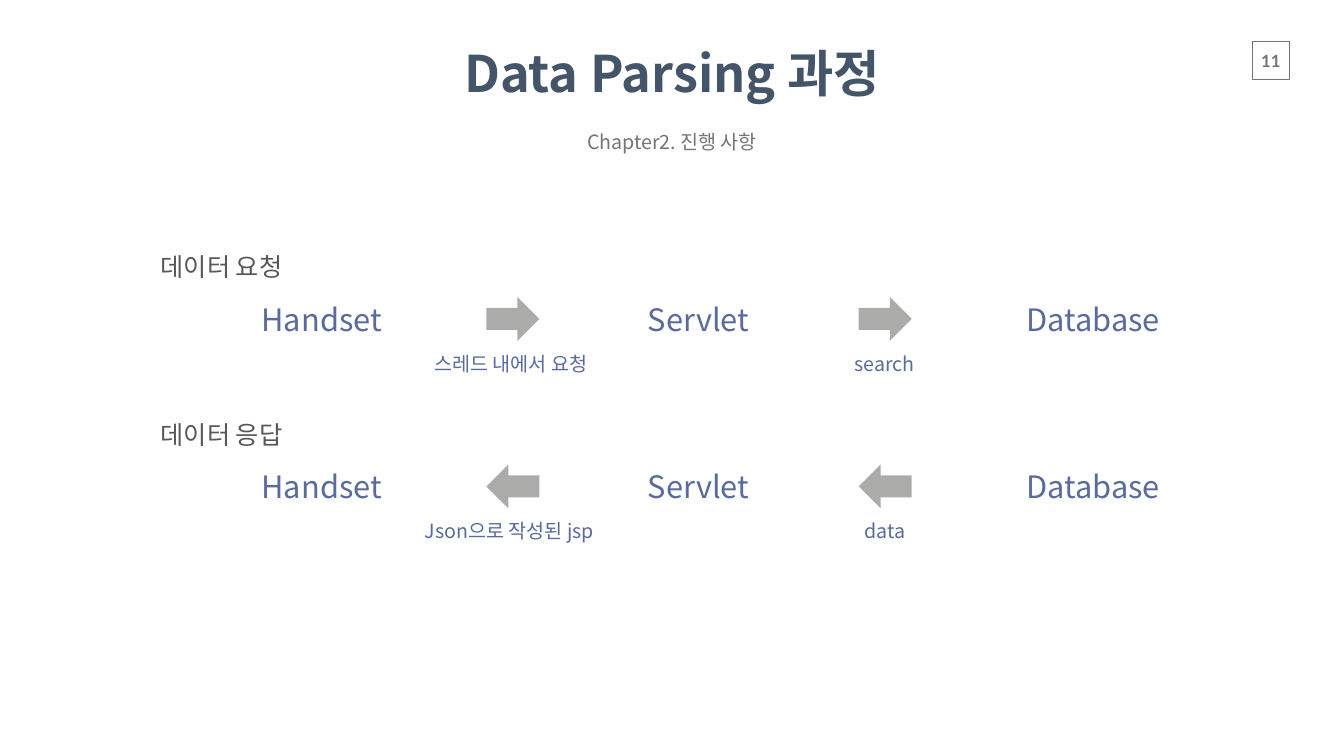
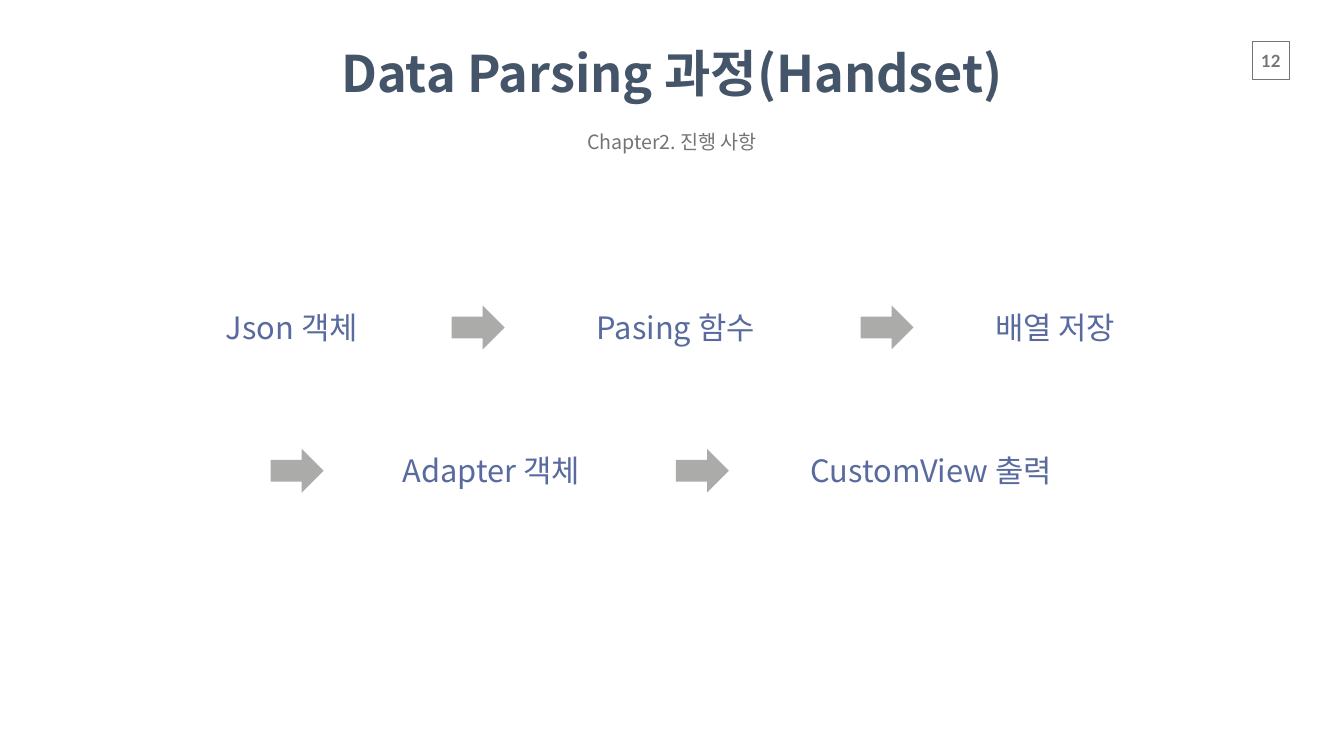
from dataclasses import dataclass

import pptx
import pptx.dml.color
import pptx.enum.shapes
import pptx.enum.text
import pptx.oxml.ns
import pptx.util
from lxml import etree

Cm = pptx.util.Cm
ALIGN = pptx.enum.text.PP_ALIGN
ANCHOR = pptx.enum.text.MSO_ANCHOR
SHAPE = pptx.enum.shapes.MSO_SHAPE


@dataclass(frozen=True)
class Theme:
    # Colours
    title: str = "445469"
    muted: str = "737572"
    heading: str = "565856"
    accent: str = "596A9F"
    arrow: str = "ABACAA"
    # Fonts and type sizes in points
    body_font: str = "Noto Sans CJK KR"
    number_font: str = "Lato"
    title_size: int = 72
    step_size: int = 44
    heading_size: int = 36
    small_size: int = 28
    number_size: int = 24


THEME = Theme()
SLIDE_WIDTH, SLIDE_HEIGHT = 67.72, 38.1
STEP_HEIGHT = 2.13
ARROW_WIDTH, ARROW_HEIGHT = 2.67, 2.21
CHAPTER = "Chapter2. 진행 사항"


def rgb(colour):
    return pptx.dml.color.RGBColor.from_string(colour)


def add_text(shapes, box, text, size, colour, font=THEME.body_font, bold=False,
             align=ALIGN.LEFT, anchor=ANCHOR.TOP, inset=(0.25, 0.13), wrap=False):
    """Add one line of text; box is left, top, width, height in cm."""
    frame = shapes.add_textbox(*(Cm(length) for length in box)).text_frame
    frame.word_wrap = wrap
    frame.auto_size = pptx.enum.text.MSO_AUTO_SIZE.SHAPE_TO_FIT_TEXT
    frame.vertical_anchor = anchor
    frame.margin_left = frame.margin_right = Cm(inset[0])
    frame.margin_top = frame.margin_bottom = Cm(inset[1])
    paragraph = frame.paragraphs[0]
    paragraph.alignment = align
    run = paragraph.add_run()
    run.text = text
    run.font.name = font
    run.font.size = pptx.util.Pt(size)
    run.font.bold = bold
    run.font.color.rgb = rgb(colour)
    # Korean glyphs take the same typeface
    east_asian = etree.SubElement(run.font._element, pptx.oxml.ns.qn("a:ea"))
    east_asian.set("typeface", font)


def add_arrow(shapes, left, top, direction):
    arrow = shapes.add_shape(direction, Cm(left), Cm(top),
                             Cm(ARROW_WIDTH), Cm(ARROW_HEIGHT))
    arrow.shadow.inherit = False
    arrow.fill.solid()
    arrow.fill.fore_color.rgb = rgb(THEME.arrow)
    arrow.line.fill.background()


def add_page_number(shapes, left, top, side, number):
    # Outlined square
    square = shapes.add_shape(SHAPE.RECTANGLE, Cm(left), Cm(top), Cm(side), Cm(side))
    square.shadow.inherit = False
    square.fill.background()
    square.line.color.rgb = rgb(THEME.muted)
    square.line.width = pptx.util.Pt(1)
    # Number centred on the square
    width = 4.83
    add_text(shapes, (left + (side - width) / 2, top + 0.21, width, 1.52),
             str(number), THEME.number_size, THEME.muted, THEME.number_font,
             bold=True, align=ALIGN.CENTER, inset=(0.51, 0.25))


def add_header(shapes, title, title_width):
    lines = [
        (title, title_width, 1.78, 3.73, THEME.title_size, THEME.title, True),
        (CHAPTER, 10.49, 6.22, 1.85, THEME.small_size, THEME.muted, False),
    ]
    for text, width, top, height, size, colour, bold in lines:
        add_text(shapes, ((SLIDE_WIDTH - width) / 2, top, width, height), text,
                 size, colour, bold=bold, align=ALIGN.CENTER,
                 anchor=ANCHOR.MIDDLE, inset=(0.69, 0.33))


def start_slide(deck, title, title_width, number):
    slide = deck.slides.add_slide(deck.slide_layouts[6])
    add_page_number(slide.shapes, 63.09, 2.08, 1.9, number)
    add_header(slide.shapes, title, title_width)
    return slide


def add_flow(shapes, left, top, steps, arrows, direction=SHAPE.RIGHT_ARROW):
    """Place steps (text, offset, width, wrap) with arrows centred on their line."""
    for text, offset, width, wrap in steps:
        add_text(shapes, (left + offset, top, width, STEP_HEIGHT), text,
                 THEME.step_size, THEME.accent, wrap=wrap)
    for offset in arrows:
        add_arrow(shapes, left + offset, top + (STEP_HEIGHT - ARROW_HEIGHT) / 2,
                  direction)


def add_exchange(shapes, left, top, heading, direction, captions):
    """One direction of the traffic: heading, flow line and arrow captions."""
    add_text(shapes, (left, top, 7.04, 1.78), heading,
             THEME.heading_size, THEME.heading)
    steps = [("Handset", 5.08, 6.63, False),
             ("Servlet", 24.54, 5.66, False),
             ("Database", 43.61, 7.29, False)]
    add_flow(shapes, left, top + 2.46, steps, (16.66, 35.42), direction)
    for (text, width), centre in zip(captions, (18.16, 36.76)):
        add_text(shapes, (left + centre - width / 2, top + 5.05, width, 1.45),
                 text, THEME.small_size, THEME.accent)


def build_parsing_slide(deck):
    slide = start_slide(deck, "Data Parsing 과정", 23.93, 11)
    exchanges = [
        ("데이터 요청", SHAPE.RIGHT_ARROW,
         [("스레드 내에서 요청", 8.74), ("search", 3.61)]),
        ("데이터 응답", SHAPE.LEFT_ARROW,
         [("Json으로 작성된 jsp", 9.7), ("data", 2.57)]),
    ]
    for row, exchange in enumerate(exchanges):
        group = slide.shapes.add_group_shape()
        add_exchange(group.shapes, 7.85, 12.55 + row * 8.44, *exchange)


def build_handset_slide(deck):
    slide = start_slide(deck, "Data Parsing 과정(Handset)", 37.26, 12)
    # From the Json object to the stored array
    storing = slide.shapes.add_group_shape()
    add_flow(storing.shapes, 11.13, 15.44,
             [("Json 객체", 0, 7.3, True),
              ("Pasing 함수", 18.69, 9.12, False),
              ("배열 저장", 38.76, 6.99, False)],
             (11.63, 32.23))
    # From the adapter to the view
    display = slide.shapes.add_group_shape()
    add_flow(display.shapes, 13.64, 22.66,
             [("Adapter 객체", 6.4, 10.26, False),
              ("CustomView 출력", 26.95, 13.54, False)],
             (0, 20.42))


def main():
    deck = pptx.Presentation()
    deck.slide_width, deck.slide_height = Cm(SLIDE_WIDTH), Cm(SLIDE_HEIGHT)
    build_parsing_slide(deck)
    build_handset_slide(deck)
    deck.save("out.pptx")


if __name__ == "__main__":
    main()
